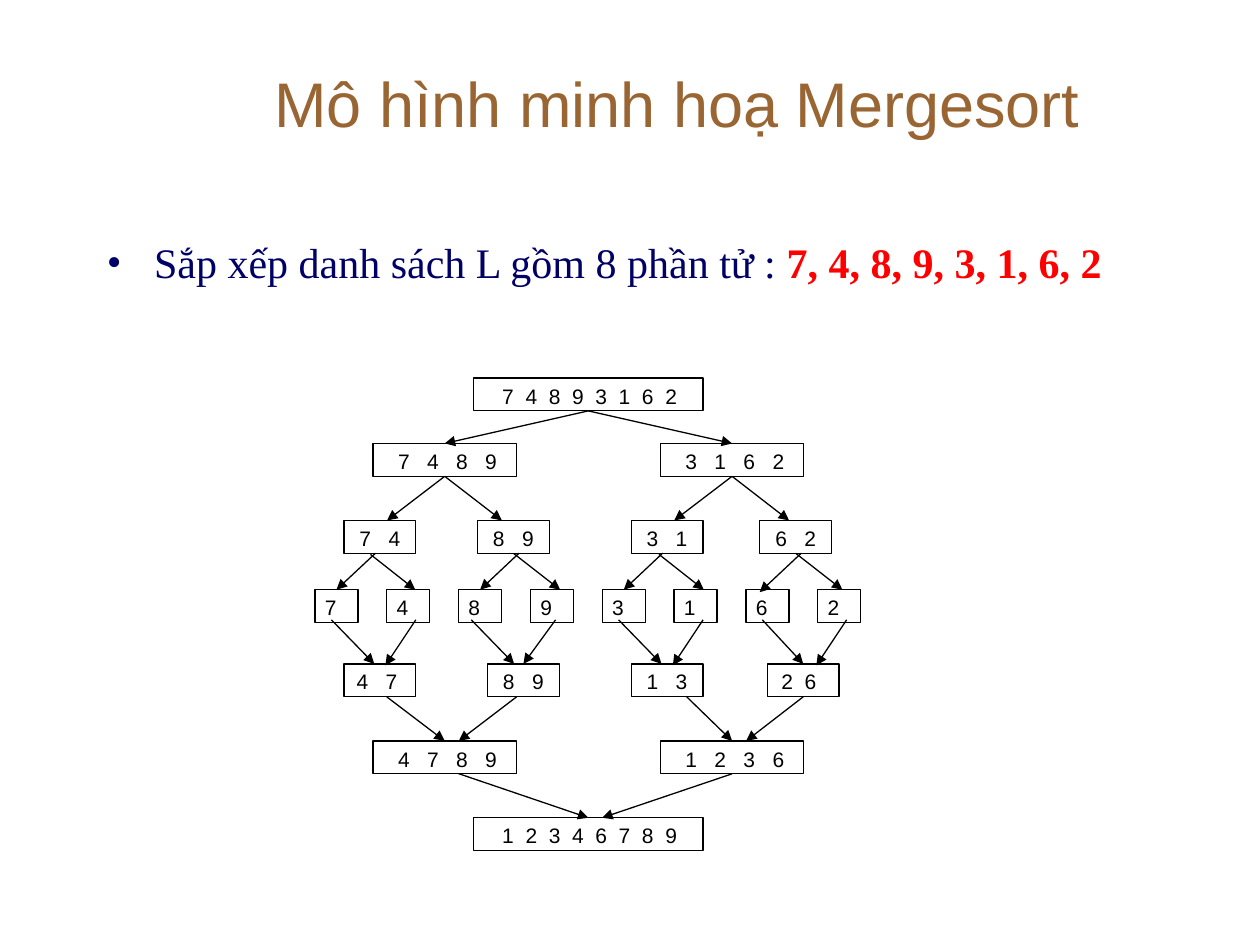
from dataclasses import dataclass

from lxml import etree
from pptx import Presentation
from pptx.dml.color import RGBColor
from pptx.enum.shapes import MSO_CONNECTOR, MSO_SHAPE
from pptx.enum.text import MSO_ANCHOR, PP_ALIGN
from pptx.oxml.ns import qn
from pptx.util import Pt

RECT = MSO_SHAPE.RECTANGLE
STRAIGHT = MSO_CONNECTOR.STRAIGHT
CENTER = PP_ALIGN.CENTER
TOP, MIDDLE = MSO_ANCHOR.TOP, MSO_ANCHOR.MIDDLE


@dataclass(frozen=True)
class Theme:
    brown: str = "996633"
    navy: str = "000066"
    red: str = "FF0000"
    black: str = "000000"
    white: str = "FFFFFF"
    sans: str = "Arial"
    serif: str = "Times New Roman"
    title: int = 36
    body: int = 24
    small: int = 12
    rule: float = 0.75


THEME = Theme()
BOX_H = 18.8
SPACE = 3.33  # width of one space in the box font
SNAP = 1.6    # how near a line end must be to a box side to join it

# Rows of boxes: top, width, spaces between digits, spaces at end, boxes
ROWS = [
    (216, 131, 2, 0, [(270.7, "7 4 8 9 3 1 6 2")]),
    (253.4, 82.1, 3, 0, [(213.1, "7 4 8 9"), (377.3, "3 1 6 2")]),
    (297.4, 41, 3, 1, [(196.6, "7 4"), (272.9, "8 9"),
                       (360.7, "3 1"), (434.2, "6 2")]),
    (337, 24.6, 1, 2, [(180 + 41.04 * i, d) for i, d in enumerate("74893162")]),
    (379.4, 41, 3, 2, [(196.6, "4 7")]),
    (379.4, 41, 3, 1, [(278.6, "8 9"), (360.7, "1 3")]),
    (379.4, 41, 2, 2, [(438.5, "2 6")]),
    (423.4, 82.1, 3, 0, [(213.1, "4 7 8 9"), (377.3, "1 2 3 6")]),
    (467.3, 131, 2, 0, [(270.7, "1 2 3 4 6 7 8 9")]),
]

# Arrows: start y, end y, x shift, start x of each
ARROWS = [
    # Split
    (234.8, 253.4, -82.1, [336.2]),
    (234.8, 253.4, 82.1, [336.2]),
    (272.2, 297.4, -33, [254.2, 418.3]),
    (272.2, 297.4, 32.6, [254.2, 418.3]),
    (316.1, 338.4, -23.8, [214.6, 296.6, 378.7, 457.9]),
    (316.8, 337, 25.6, [211.7, 294.5, 376.6, 455.8]),
    # Merge
    (354.2, 379.4, 24.5, [189.4, 269.3, 353.5, 435.6]),
    (354.2, 380.2, -17.3, [237.6, 317.5, 401.8, 483.8]),
    (398.2, 423.4, 33, [221]),
    (398.2, 423.4, 24.5, [392.4]),
    (398.2, 423.4, -33, [295.2, 459.4]),
    (442.1, 467.3, 74.2, [262.1]),
    (442.1, 467.3, -74.2, [418.3]),
]


def color(code):
    return RGBColor.from_string(code)


def style(font, name, size, code):
    font.name, font.size = name, Pt(size)
    font.color.rgb = color(code)


def add_text(slide, left, top, width, height, anchor):
    frame = slide.shapes.add_textbox(
        Pt(left), Pt(top), Pt(width), Pt(height)).text_frame
    frame.word_wrap = True
    frame.vertical_anchor = anchor
    return frame.paragraphs[0]


def add_title(slide):
    para = add_text(slide, 90, 21.6, 594, 74.2, MIDDLE)
    para.alignment = CENTER
    para.add_run().text = "Mô hình minh hoạ Mergesort"
    style(para.font, THEME.sans, THEME.title, THEME.brown)


def add_bullet(slide):
    para = add_text(slide, 54, 131.8, 630, 48.2, TOP)
    para.space_before = Pt(6)
    props = para._p.get_or_add_pPr()
    props.set("marL", str(Pt(27)))
    props.set("indent", str(-Pt(27)))
    tint = etree.SubElement(props, qn("a:buClr"))
    etree.SubElement(tint, qn("a:srgbClr"), val=THEME.navy)
    etree.SubElement(props, qn("a:buFont"), typeface=THEME.serif)
    etree.SubElement(props, qn("a:buChar"), char="•")

    intro, items = para.add_run(), para.add_run()
    intro.text = "Sắp xếp danh sách L gồm 8 phần tử : "
    items.text = "7, 4, 8, 9, 3, 1, 6, 2"
    style(intro.font, THEME.serif, THEME.body, THEME.navy)
    style(items.font, THEME.serif, THEME.body, THEME.red)
    items.font.bold = True


def add_box(slide, left, top, width, text, gap, trail):
    box = slide.shapes.add_shape(RECT, Pt(left), Pt(top), Pt(width), Pt(BOX_H))
    box.shadow.inherit = False
    box.fill.solid()
    box.fill.fore_color.rgb = color(THEME.white)
    box.line.color.rgb = color(THEME.black)
    box.line.width = Pt(THEME.rule)

    # Letter spacing widens the gaps, and the insets keep the digits in place
    track = (gap - 1) * SPACE / 2
    shift = trail * SPACE - track
    frame = box.text_frame
    frame.word_wrap = True
    frame.vertical_anchor = TOP
    frame.margin_left, frame.margin_right = Pt(max(-shift, 0)), Pt(max(shift, 0))
    frame.margin_top, frame.margin_bottom = Pt(2.9), 0
    para = frame.paragraphs[0]
    para.alignment = CENTER
    run = para.add_run()
    run.text = text
    run._r.get_or_add_rPr().set("spc", str(round(track * 100)))
    style(para.font, THEME.sans, THEME.small, THEME.black)
    return box


def find_side(boxes, x, y):
    """Give the box and side whose middle lies at this point, if any."""
    for box in boxes:
        mid = box.left + box.width / 2
        for side, edge in ((0, box.top), (2, box.top + box.height)):
            if max(abs(mid - Pt(x)), abs(edge - Pt(y))) <= Pt(SNAP):
                return box, side
    return None


def add_arrow(slide, boxes, start, end):
    line = slide.shapes.add_connector(STRAIGHT, *map(Pt, start + end))
    line.line.color.rgb = color(THEME.black)
    line.line.width = Pt(THEME.rule)
    etree.SubElement(line.line._get_or_add_ln(), qn("a:tailEnd"), type="triangle")
    etree.SubElement(line._element.spPr, qn("a:effectLst"))
    for point, join in ((start, line.begin_connect), (end, line.end_connect)):
        spot = find_side(boxes, *point)
        if spot:
            join(*spot)


def main():
    deck = Presentation()
    deck.slide_width, deck.slide_height = Pt(720), Pt(540)
    slide = deck.slides.add_slide(deck.slide_layouts[6])

    # Heading and task
    add_title(slide)
    add_bullet(slide)

    # Tree of lists
    boxes = [add_box(slide, left, top, width, text, gap, trail)
             for top, width, gap, trail, row in ROWS for left, text in row]
    for begin, stop, shift, starts in ARROWS:
        for x in starts:
            add_arrow(slide, boxes, (x, begin), (x + shift, stop))

    deck.save("out.pptx")


if __name__ == "__main__":
    main()
